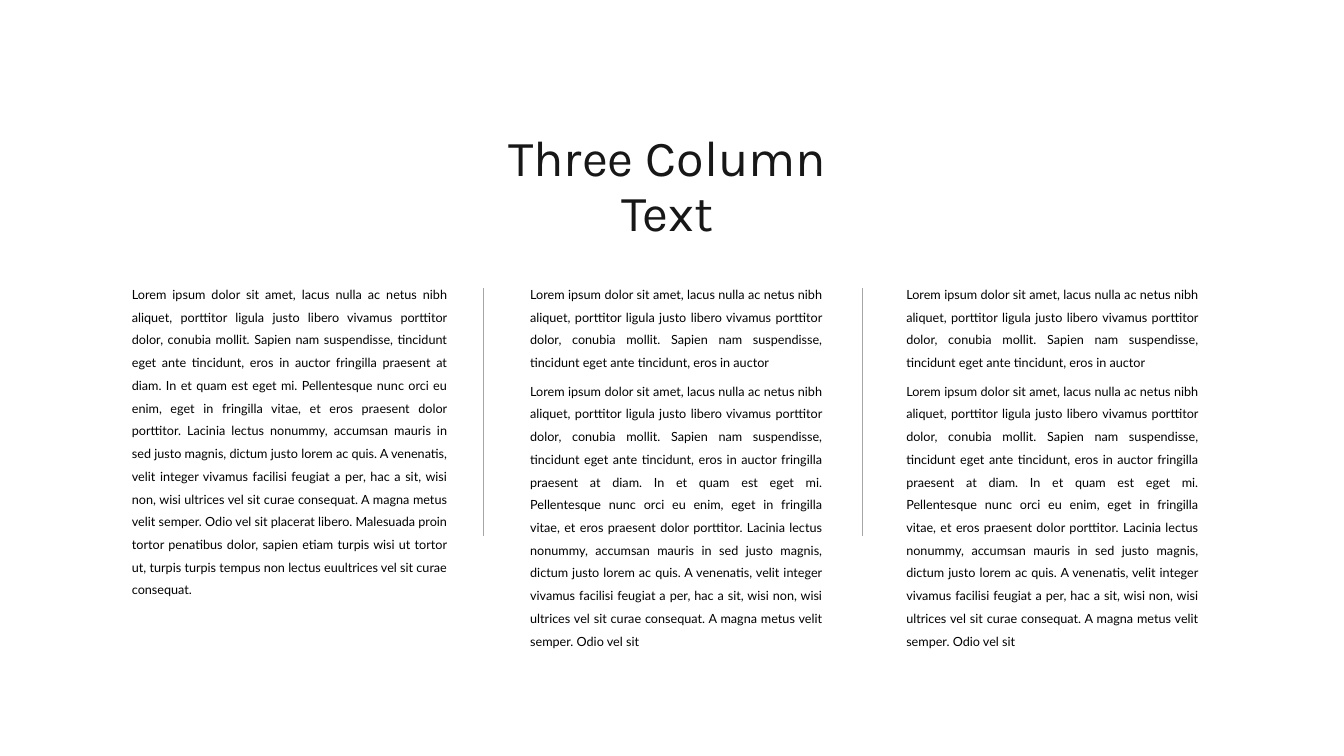
from dataclasses import dataclass

from lxml.etree import SubElement
from pptx import Presentation
from pptx.dml.color import RGBColor
from pptx.enum.shapes import MSO_CONNECTOR
from pptx.enum.text import MSO_ANCHOR, MSO_AUTO_SIZE, PP_ALIGN
from pptx.oxml.ns import qn
from pptx.util import Inches, Pt

TITLE = "Three Column Text"
INTRO = (
    "Lorem ipsum dolor sit amet, lacus nulla ac netus nibh aliquet, porttitor ligula "
    "justo libero vivamus porttitor dolor, conubia mollit. Sapien nam suspendisse, "
    "tincidunt eget ante tincidunt, eros in auctor"
)
BODY = INTRO + (
    " fringilla praesent at diam. In et quam est eget mi. Pellentesque nunc orci eu enim, "
    "eget in fringilla vitae, et eros praesent dolor porttitor. Lacinia lectus nonummy, "
    "accumsan mauris in sed justo magnis, dictum justo lorem ac quis. A venenatis, velit "
    "integer vivamus facilisi feugiat a per, hac a sit, wisi non, wisi ultrices vel sit "
    "curae consequat. A magna metus velit semper. Odio vel sit"
)
LONG_BODY = BODY + (
    " placerat libero. Malesuada proin tortor penatibus dolor, sapien etiam turpis wisi ut "
    "tortor ut, turpis turpis tempus non lectus euultrices vel sit curae consequat."
)

# Each column: left, width, blocks of (top, height, text)
TOP = 2.72
SPLIT_BLOCKS = [(TOP, 1.01, INTRO), (3.68, 2.83, BODY)]
COLUMNS = [
    (1.21, 3.32, [(TOP, 3.28, LONG_BODY)]),
    (5.16, 3.09, SPLIT_BLOCKS),
    (8.89, 3.09, SPLIT_BLOCKS),
]
DIVIDERS = [4.79, 8.55]
DIVIDER_TOP, DIVIDER_BOTTOM = 2.86, 5.32


@dataclass(frozen=True)
class Theme:
    title_font: str = "Karla"
    body_font: str = "Lato"
    title_size: int = 36
    body_size: int = 9
    title_color: str = "181717"
    body_color: str = "000000"
    line_color: str = "A6A6A6"
    line_width: float = 0.5


THEME = Theme()


def style_paragraph(p, font, size, color, align, spacing):
    p.font.name = font
    p.font.size = Pt(size)
    p.font.color.rgb = RGBColor.from_string(color)
    p.alignment = align
    p.line_spacing = spacing


def add_title(slide):
    sp = slide.shapes.title
    sp.left, sp.top = Inches(4.43), Inches(1.27)
    sp.width, sp.height = Inches(4.38), Inches(0.64)
    tf = sp.text_frame
    tf.text = TITLE
    tf.word_wrap = True
    tf.auto_size = MSO_AUTO_SIZE.NONE
    tf.vertical_anchor = MSO_ANCHOR.TOP
    tf.margin_left = tf.margin_right = Inches(0.2)
    p = tf.paragraphs[0]
    style_paragraph(p, THEME.title_font, THEME.title_size, THEME.title_color,
                    PP_ALIGN.CENTER, 0.9)
    p.space_before = Pt(10)


def add_block(slide, left, top, width, height, text):
    sp = slide.shapes.add_textbox(Inches(left), Inches(top), Inches(width), Inches(height))
    tf = sp.text_frame
    tf.text = text
    tf.word_wrap = True
    tf.auto_size = MSO_AUTO_SIZE.SHAPE_TO_FIT_TEXT
    style_paragraph(tf.paragraphs[0], THEME.body_font, THEME.body_size, THEME.body_color,
                    PP_ALIGN.JUSTIFY, 1.5)


def add_divider(slide, x):
    line = slide.shapes.add_connector(MSO_CONNECTOR.STRAIGHT, Inches(x), Inches(DIVIDER_TOP),
                                      Inches(x), Inches(DIVIDER_BOTTOM))
    line.line.color.rgb = RGBColor.from_string(THEME.line_color)
    line.line.width = Pt(THEME.line_width)
    SubElement(line._element.spPr, qn("a:effectLst"))


def main():
    prs = Presentation()
    prs.slide_width, prs.slide_height = Inches(13.33), Inches(7.5)
    slide = prs.slides.add_slide(prs.slide_layouts.get_by_name("Title Only"))
    add_title(slide)
    for left, width, blocks in COLUMNS:
        for top, height, text in blocks:
            add_block(slide, left, top, width, height, text)
    for x in DIVIDERS:
        add_divider(slide, x)
    prs.save("out.pptx")


if __name__ == "__main__":
    main()
